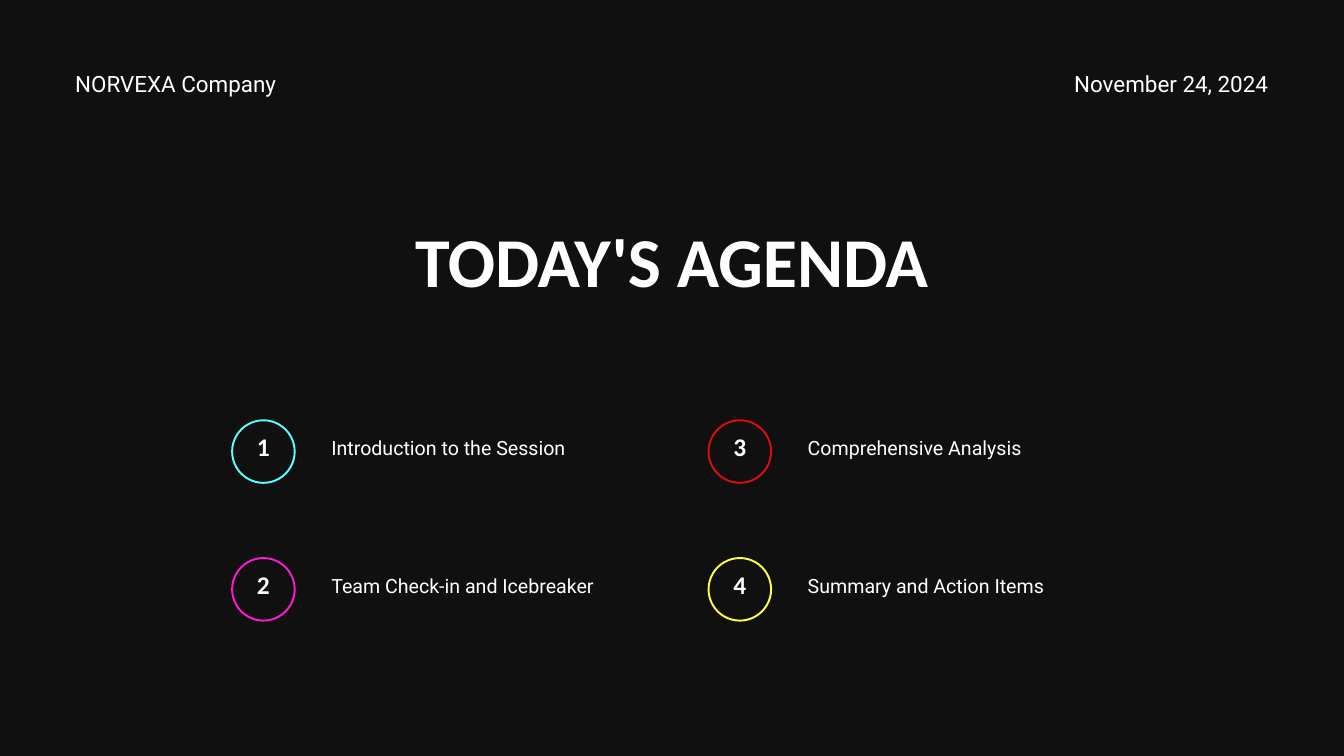
from typing import NamedTuple

from pptx import Presentation
from pptx.dml.color import RGBColor
from pptx.enum.shapes import MSO_SHAPE
from pptx.enum.text import MSO_ANCHOR, MSO_AUTO_SIZE, PP_ALIGN
from pptx.util import Inches, Pt

LEFT, MID, RIGHT = PP_ALIGN.LEFT, PP_ALIGN.CENTER, PP_ALIGN.RIGHT
TOP = MSO_ANCHOR.TOP
GROW = MSO_AUTO_SIZE.SHAPE_TO_FIT_TEXT
DONUT = MSO_SHAPE.DONUT
WHITE, BLACK = "FFFFFF", "101010"


class Style(NamedTuple):
    font: str
    size: float
    line: float
    bold: bool = False


class Item(NamedTuple):
    text: str
    color: str


HEAD = Style("Calibri", 75, 82.5, True)
DIGIT = Style("Calibri", 27.2, 26.1, True)
BODY = Style("Roboto", 21, 29.4)
META = Style("Roboto", 24, 28.8)

# Agenda grid: filled down each column
ITEMS = [
    Item("Introduction to the Session", "57FFFF"),
    Item("Team Check-in and Icebreaker", "FF19CF"),
    Item("Comprehensive Analysis", "DF0C0C"),
    Item("Summary and Action Items", "FFFD47"),
]
ROWS = 2
X0, Y0 = 3.44, 6.24
STEP_X, STEP_Y = 7.09, 2.05
RING, EDGE = 0.96, 0.03


def paint(target, color: str) -> None:
    target.solid()
    target.fore_color.rgb = RGBColor.from_string(color)


def write(shape, text: str, style: Style, align=LEFT) -> None:
    frame = shape.text_frame
    frame.margin_left = frame.margin_right = 0
    frame.margin_top = frame.margin_bottom = 0
    frame.word_wrap = True
    frame.auto_size = GROW
    frame.vertical_anchor = TOP
    para = frame.paragraphs[0]
    para.alignment = align
    para.line_spacing = Pt(style.line)
    para.space_before = Pt(0)
    run = para.add_run()
    run.text = text
    font = run.font
    font.name, font.size, font.bold = style.font, Pt(style.size), style.bold
    paint(font.fill, WHITE)


def label(shapes, x: float, y: float, w: float, h: float,
          text: str, style: Style, align=LEFT) -> None:
    box = shapes.add_textbox(Inches(x), Inches(y), Inches(w), Inches(h))
    write(box, text, style, align)


def entry(slide, index: int, item: Item) -> None:
    col, row = divmod(index, ROWS)
    x, y = X0 + col * STEP_X, Y0 + row * STEP_Y
    # Numbered ring
    badge = slide.shapes.add_group_shape().shapes
    ring = badge.add_shape(DONUT, Inches(x), Inches(y),
                           Inches(RING), Inches(RING))
    ring.adjustments[0] = EDGE
    ring.shadow.inherit = False
    paint(ring.fill, item.color)
    ring.line.fill.background()
    label(badge, x + 0.3, y + 0.27, 0.36, 0.44, str(index + 1), DIGIT, MID)
    # Topic
    label(slide.shapes, x + 1.49, y + 0.19, 4.58, 0.46, item.text, BODY)


def main() -> None:
    deck = Presentation()
    deck.slide_width, deck.slide_height = Inches(20), Inches(11.25)
    slide = deck.slides.add_slide(deck.slide_layouts[5])
    paint(slide.background.fill, BLACK)

    # Title
    title = slide.shapes.title
    title.left, title.top = Inches(2.4), Inches(3.34)
    title.width, title.height = Inches(15.19), Inches(1.27)
    write(title, "TODAY'S AGENDA", HEAD, MID)

    # Agenda
    for index, item in enumerate(ITEMS):
        entry(slide, index, item)

    # Header line
    label(slide.shapes, 14.57, 1.04, 4.3, 0.48,
          "November 24, 2024", META, RIGHT)
    label(slide.shapes, 1.12, 1.04, 4.3, 0.48, "NORVEXA Company", META)

    deck.save("out.pptx")


if __name__ == "__main__":
    main()
